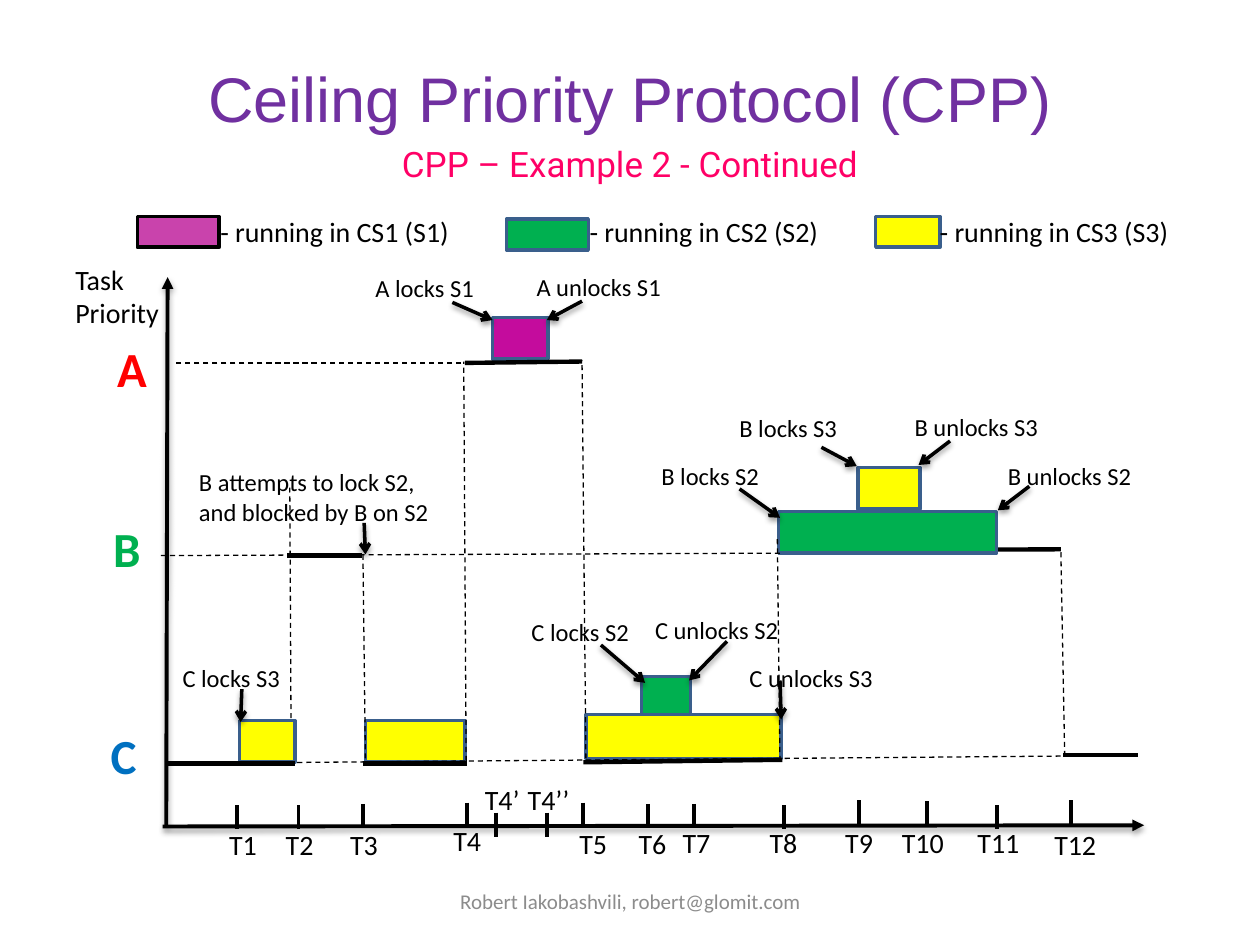
import pptx
import pptx.util
import pptx.dml.color
import pptx.enum.dml
import pptx.enum.shapes
import pptx.enum.text
import pptx.oxml
import pptx.oxml.ns

Pt = pptx.util.Pt
HUES = {
    "black": "000000", "title": "7030A0", "pink": "FF0066", "gray": "8C8C8C",
    "red": "FF0000", "green": "00B050", "blue": "0070C0", "yellow": "FFFF00",
    "plum": "C40C9D", "mauve": "C943AC", "edge": "3A5F8C",
}
SHADE = (
    '<a:effectLst %s><a:outerShdw blurRad="40000" dist="23000" dir="5400000" rotWithShape="0">'
    '<a:srgbClr val="000000"><a:alpha val="%d"/></a:srgbClr></a:outerShdw></a:effectLst>'
)
BARE = "<a:effectLst %s/>"


class Chart:
    font = "Calibri"

    def __init__(self, slide):
        self.slide = slide

    def hue(self, name):
        return pptx.dml.color.RGBColor.from_string(HUES[name])

    def text(self, words, x, y, w, h, size=16, hue="black", font=None,
             bold=False, mid=False, right=0):
        """Text box; mid centres it, right is the right inset."""
        box = self.slide.shapes.add_textbox(Pt(x), Pt(y), Pt(w), Pt(h))
        frame = box.text_frame
        frame.word_wrap = True
        frame.margin_right = Pt(7.2 if mid else right)
        para = frame.paragraphs[0]
        if mid:
            para.alignment = pptx.enum.text.PP_ALIGN.CENTER
        run = para.add_run()
        run.text = words
        run.font.name = font or self.font
        run.font.size = Pt(size)
        run.font.bold = bold
        run.font.color.rgb = self.hue(hue)
        return frame

    def box(self, x, y, w, h, fill, edge="edge"):
        kind = pptx.enum.shapes.MSO_SHAPE.RECTANGLE
        rect = self.slide.shapes.add_shape(kind, Pt(x), Pt(y), Pt(w), Pt(h))
        rect.shadow.inherit = False
        rect.fill.solid()
        rect.fill.fore_color.rgb = self.hue(fill)
        rect.line.color.rgb = self.hue(edge)
        rect.line.width = Pt(2)

    def line(self, x1, y1, x2, y2, width=2.5, dash=False, head=None, alpha=38):
        """Straight line; one with an arrowhead also casts a soft shadow."""
        kind = pptx.enum.shapes.MSO_CONNECTOR.STRAIGHT
        link = self.slide.shapes.add_connector(kind, Pt(x1), Pt(y1), Pt(x2), Pt(y2))
        link.line.color.rgb = self.hue("black")
        link.line.width = Pt(width)
        if dash:
            link.line.dash_style = pptx.enum.dml.MSO_LINE.DASH
        space = pptx.oxml.ns.nsdecls("a")
        effect = BARE % space
        if head:
            tip = pptx.oxml.parse_xml(f'<a:tailEnd {space} type="{head}"/>')
            link.line._get_or_add_ln().append(tip)
            effect = SHADE % (space, alpha * 1000)
        link._element.spPr.append(pptx.oxml.parse_xml(effect))


def main():
    deck = pptx.Presentation()
    deck.slide_width, deck.slide_height = Pt(720), Pt(540)
    art = Chart(deck.slides.add_slide(deck.slide_layouts[6]))
    middle = pptx.enum.text.MSO_ANCHOR.MIDDLE

    # Headings and footer
    head = art.text("Ceiling Priority Protocol (CPP)", 36, 21.6, 648, 68.4,
                    36, "title", "Arial", mid=True)
    head.vertical_anchor = middle
    art.text("CPP – Example 2 - Continued", 36, 77.8, 648, 422.6,
             20, "pink", "Roboto", mid=True)
    foot = art.text("Robert Iakobashvili, robert@glomit.com", 246.2, 500.4, 228.2, 28.8,
                    12, "gray", mid=True)
    foot.vertical_anchor = middle

    # Legend: swatch place, size and colours, then label left
    for num, x, y, w, fill, edge, left in (
        (1, 78.5, 123.8, 46.8, "mauve", "black", 118.8),
        (2, 289.4, 125.3, 46.8, "green", "edge", 329.8),
        (3, 500.4, 123.8, 36.7, "yellow", "edge", 529.9),
    ):
        art.box(x, y, w, 17.5, fill, edge)
        art.text(f"- running in CS{num} (S{num})", left, 118.8, 149, 26.6)

    # Axes
    art.line(92.9, 472.3, 653.8, 471.6, 2.25, head="triangle", alpha=35)
    art.line(95, 471.6, 95.8, 158.4, 2.25, head="triangle", alpha=35)
    art.text("Task Priority", 36, 146.2, 67.7, 46, right=7.2)
    for name, x, y, hue in (("A", 59.8, 190.1, "red"), ("B", 57.6, 293, "green"),
                            ("C", 56.2, 411.1, "blue")):
        art.text(name, x, y, 36, 41, 28, hue, bold=True)

    # Time marks: tick x and top, label left and top
    for name, x, y, left, top in (
        ("T1", 135.4, 460.1, 123.8, 469.4), ("T2", 170.6, 460.1, 156.2, 469.4),
        ("T3", 207.4, 459.4, 193, 469.4), ("T4", 267.1, 458.6, 252, 467.3),
        ("T4’", 283.7, 464.4, 270, 443.5), ("T4’’", 312.5, 464.4, 294.5, 443.5),
        ("T5", 333.4, 458.6, 324, 468.7), ("T6", 370.1, 459.4, 357.8, 468.7),
        ("T7", 396.7, 459.4, 383, 468), ("T8", 447.8, 460.1, 432.7, 468),
        ("T9", 491, 457.2, 475.9, 468), ("T10", 529.9, 457.9, 508.3, 468),
        ("T11", 569.5, 460.1, 551.5, 468), ("T12", 612, 457.2, 595.4, 469.4),
    ):
        art.line(x, y, x, y + 13.7, 2.25)
        art.text(name, left, top, 34.6 if len(name) < 3 else 44, 26.6)

    # Critical sections, above the run of B that lies behind them
    art.line(444.2, 314.6, 606.2, 313.9)
    for x, y, w, h, fill in (
        (136.8, 411.8, 31.7, 23.8, "yellow"), (208.8, 411.8, 56.9, 23.8, "yellow"),
        (366.5, 386.6, 28.1, 23.8, "green"), (334.8, 408.2, 111.6, 25.2, "yellow"),
        (490.3, 267.1, 35.3, 23.8, "yellow"), (445, 292.3, 124.6, 23.8, "green"),
        (281.5, 181.4, 31.7, 23.8, "plum"),
    ):
        art.box(x, y, w, h, fill)

    # Other runs of A, B and C
    for ends in (
        (265.7, 207.4, 332.6, 206.6), (164.2, 317.5, 206.6, 317.5),
        (94.3, 436.3, 168.5, 436.3), (207.4, 436.3, 267.1, 436.3),
        (333.4, 435.6, 447.1, 434.2), (607.7, 431.3, 650.2, 431.3),
    ):
        art.line(*ends)

    # Dashed levels, then dashed switches between tasks
    for ends in (
        (325.4, 207.4, 100.1, 207.4), (445.7, 316.1, 90.7, 317.5),
        (611.3, 432, 97.9, 436.3),
        (166.3, 410.4, 165.6, 278.6), (208.8, 433.4, 207.4, 316.1),
        (266.4, 434.9, 265, 206.6), (334.8, 433.4, 332.6, 205.9),
        (445.7, 434.9, 444.2, 307.4), (608.4, 432, 606.2, 313.9),
    ):
        art.line(*ends, width=0.75, dash=True)

    # Events: label place and width, then arrow ends
    for words, x, y, w, ends in (
        ("A locks S1", 207.4, 152.6, 70.6, (258.5, 172.8, 281.5, 182.9)),
        ("A unlocks S1", 299.5, 151.9, 95, (332.6, 172.1, 312.5, 182.9)),
        ("B locks S2", 370.8, 259.9, 70.6, (422.6, 279.4, 445.7, 295.9)),
        ("B unlocks S2", 568.8, 259.9, 85, (588.2, 277.9, 570.2, 291.6)),
        ("B locks S3", 415.4, 232.6, 70.6, (469.4, 255.6, 489.6, 266.4)),
        ("B unlocks S3", 515.5, 231.8, 90, (542.9, 252, 524.9, 265.7)),
        ("C locks S2", 296.6, 349.2, 70.6, (343.4, 368.6, 368.6, 390.2)),
        ("C unlocks S2", 367.2, 347.8, 85.7, (415.4, 366.5, 393.8, 388.8)),
        ("C locks S3", 97.2, 375.1, 70.6, (138.2, 393.8, 137.5, 412.6)),
        ("C unlocks S3", 421.2, 375.1, 95.8, (445.7, 388.8, 446.4, 411.1)),
    ):
        art.text(words, x, y, w, 24.5, 14)
        art.line(*ends, width=2, head="arrow")
    art.text("B attempts to lock S2, and blocked by B on S2",
             106.6, 263.5, 158.4, 41, 14, right=7.2)
    art.line(208.1, 298.8, 208.8, 316.8, 2, head="arrow")

    deck.save("out.pptx")


if __name__ == "__main__":
    main()
